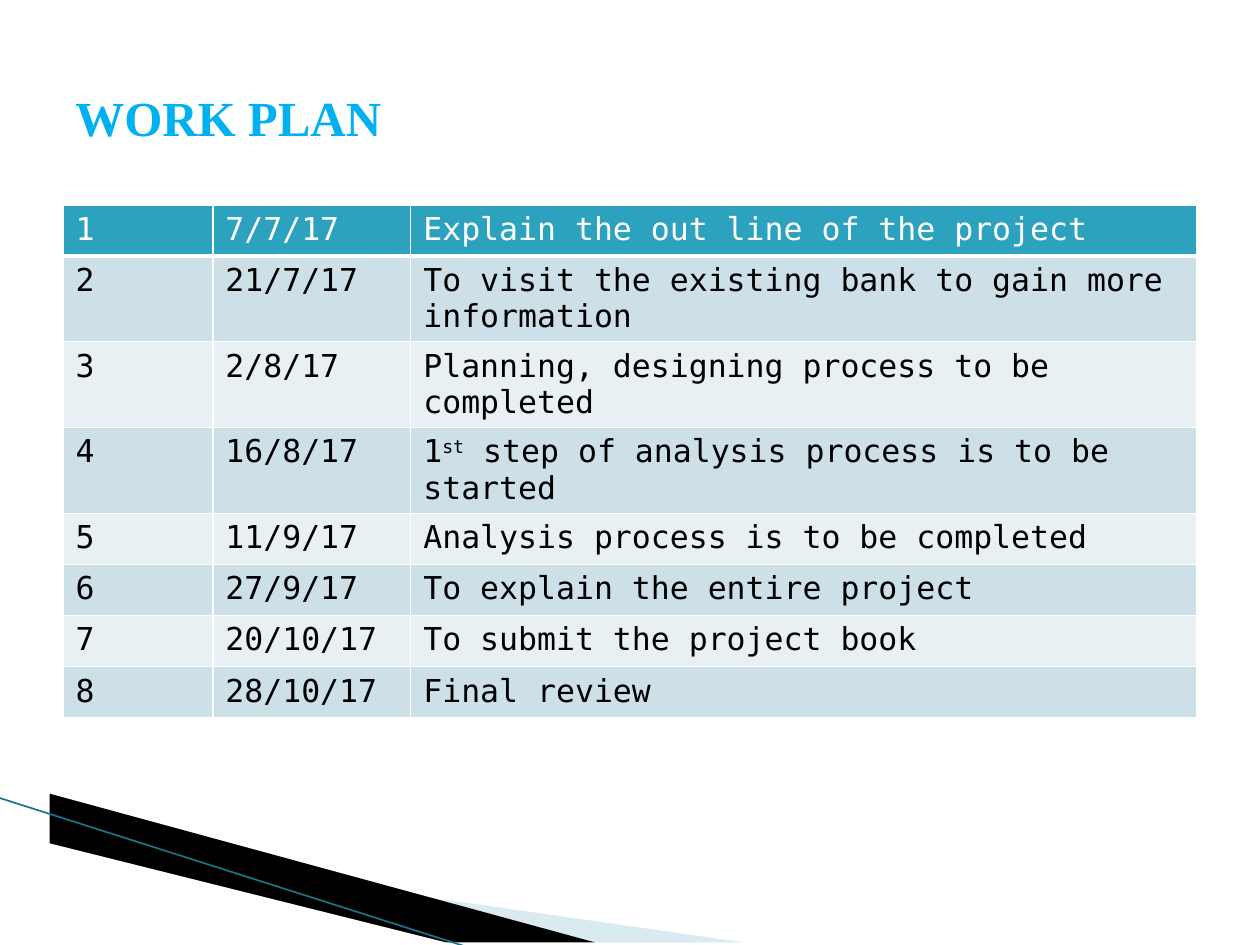
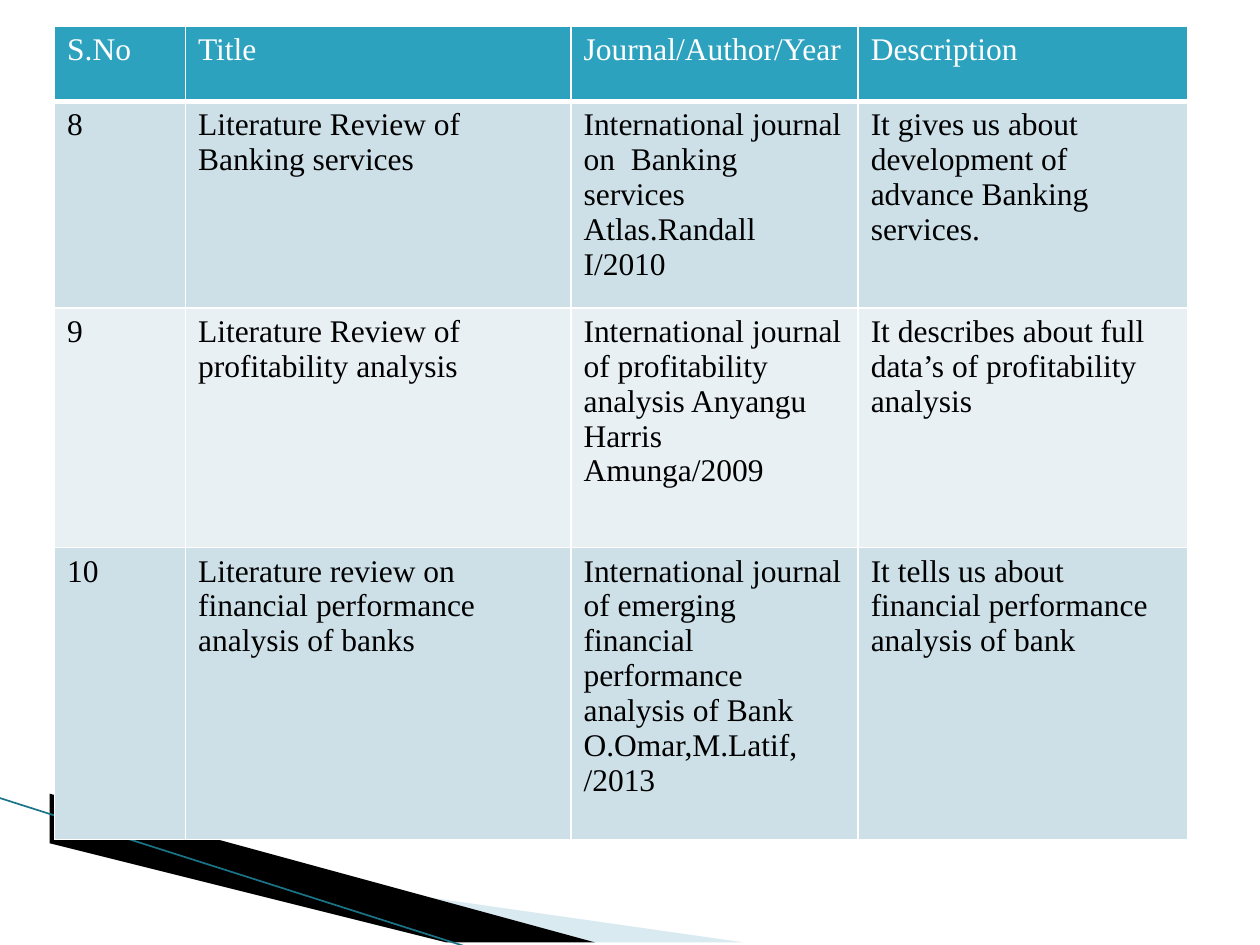
"""Build the work plan and literature review slides."""
import dataclasses
import typing

import lxml.etree
import pptx
import pptx.dml.color
import pptx.enum.shapes
import pptx.enum.text
import pptx.oxml.ns
import pptx.slide
import pptx.util

Cm = pptx.util.Cm
Pt = pptx.util.Pt
qn = pptx.oxml.ns.qn
Rgb = pptx.dml.color.RGBColor.from_string


@dataclasses.dataclass(frozen=True)
class Theme:
    title: str = "00B0F0"
    head: str = "2DA2BF"
    bands: tuple[str, str] = ("CDE0E8", "E8F0F4")
    light: str = "FFFFFF"
    dark: str = "000000"
    pale: str = "A0CBDC"
    edge: str = "1A7488"
    serif: str = "Times New Roman"
    mono: str = "DejaVu Sans Mono"
    big: float = 28
    body: float = 18
    thin: float = 1
    thick: float = 3


@dataclasses.dataclass(frozen=True)
class Wedge:
    points: tuple[tuple[float, float], ...]
    fill: str
    alpha: int = 100


@dataclasses.dataclass(frozen=True)
class Grid:
    left: float
    top: float
    cols: tuple[float, ...]
    rows: tuple[float, ...]
    font: str
    cells: tuple[tuple[str, ...], ...]


THEME = Theme()
RAISE = "^"

WEDGES = (
    Wedge(((1.4, 16.54), (15.11, 19.08), (11.58, 19.08), (1.4, 16.51)), THEME.pale, 40),
    Wedge(((1.35, 16.48), (11.61, 19.08), (9.45, 19.1), (1.37, 16.51)), THEME.dark),
)

PLAN = Grid(1.27, 4.13, (3.02, 3.99, 15.85), (1.03,) * 8, THEME.mono, (
    ("1", "7/7/17", "Explain the out line of the project"),
    ("2", "21/7/17", "To visit the existing bank to gain more information"),
    ("3", "2/8/17", "Planning, designing process to be completed"),
    ("4", "16/8/17", "1^st^ step of analysis process is to be started"),
    ("5", "11/9/17", "Analysis process is to be completed"),
    ("6", "27/9/17", "To explain the entire project"),
    ("7", "20/10/17", "To submit the project book"),
    ("8", "28/10/17", "Final review"),
))

REVIEW = Grid(1.1, 0.52, (2.64, 7.77, 5.79, 6.65), (1.52, 4.17, 4.83, 5.88), THEME.serif, (
    ("S.No", "Title", "Journal/Author/Year", "Description"),
    ("8", "Literature Review of Banking services",
     "International journal on  Banking services Atlas.Randall I/2010",
     "It gives us about development of advance Banking services."),
    ("9", "Literature Review of profitability analysis",
     "International journal of profitability analysis Anyangu Harris Amunga/2009",
     "It describes about full data’s of profitability analysis"),
    ("10", "Literature review on financial performance analysis of banks",
     "International journal of emerging financial performance analysis of Bank "
     "O.Omar,M.Latif, /2013",
     "It tells us about financial performance analysis of bank"),
))


def apply(target: typing.Any, values: dict[str, typing.Any]) -> None:
    for name, value in values.items():
        setattr(target, name, value)


def write(frame: typing.Any, text: str, font: str, size: float, tint: str,
          bold: bool = False) -> None:
    for spot, part in enumerate(text.split(RAISE)):
        run = frame.paragraphs[0].add_run()
        run.text = part
        apply(run.font, {"name": font, "size": Pt(size), "bold": bold})
        run.font.color.rgb = Rgb(tint)
        if spot % 2:
            run._r.get_or_add_rPr().set("baseline", "30000")


def border(cell: typing.Any, widths: dict[str, float]) -> None:
    props = cell._tc.get_or_add_tcPr()
    for side, width in widths.items():
        line = lxml.etree.SubElement(props, qn(f"a:ln{side}"), w=str(Pt(width)))
        fill = lxml.etree.SubElement(line, qn("a:solidFill"))
        lxml.etree.SubElement(fill, qn("a:srgbClr"), val=THEME.light)


def draw_wedge(slide: pptx.slide.Slide, wedge: Wedge) -> None:
    start, *rest = wedge.points
    pen = slide.shapes.build_freeform(*start, scale=Cm(1))
    pen.add_line_segments(rest, close=True)
    shape = pen.convert_to_shape()
    shape.shadow.inherit = False
    shape.fill.solid()
    shape.fill.fore_color.rgb = Rgb(wedge.fill)
    shape.line.fill.background()
    if wedge.alpha < 100:
        tint = shape._element.spPr.find(f"{qn('a:solidFill')}/{qn('a:srgbClr')}")
        lxml.etree.SubElement(tint, qn("a:alpha"), val=str(wedge.alpha * 1000))


def draw_base(slide: pptx.slide.Slide) -> None:
    for wedge in WEDGES:
        draw_wedge(slide, wedge)
    edge = slide.shapes.add_connector(
        pptx.enum.shapes.MSO_CONNECTOR.STRAIGHT, Cm(-0.03), Cm(16.08), Cm(9.45), Cm(19.1))
    edge.line.color.rgb = Rgb(THEME.edge)
    edge.line.width = Pt(0.95)
    lxml.etree.SubElement(edge._element.spPr, qn("a:effectLst"))


def draw_title(slide: pptx.slide.Slide, text: str) -> None:
    box = slide.shapes.add_textbox(Cm(1.27), Cm(0.76), Cm(22.86), Cm(3.18))
    apply(box.text_frame, {"word_wrap": True,
                           "vertical_anchor": pptx.enum.text.MSO_ANCHOR.MIDDLE})
    write(box.text_frame, text, THEME.serif, THEME.big, THEME.title, True)


def draw_grid(slide: pptx.slide.Slide, grid: Grid) -> None:
    table = slide.shapes.add_table(
        len(grid.rows), len(grid.cols), Cm(grid.left), Cm(grid.top),
        Cm(sum(grid.cols)), Cm(sum(grid.rows))).table
    apply(table, {"first_row": False, "horz_banding": False})
    for col, width in zip(table.columns, grid.cols):
        col.width = Cm(width)
    for row, height in zip(table.rows, grid.rows):
        row.height = Cm(height)
    for y, texts in enumerate(grid.cells):
        head = y == 0
        fill = THEME.head if head else THEME.bands[(y - 1) % 2]
        tint = THEME.light if head else THEME.dark
        base = THEME.thick if head else THEME.thin
        for x, text in enumerate(texts):
            cell = table.cell(y, x)
            border(cell, {**dict.fromkeys("LRT", THEME.thin), "B": base})
            cell.fill.solid()
            cell.fill.fore_color.rgb = Rgb(fill)
            write(cell.text_frame, text, grid.font, THEME.body, tint)


def main() -> None:
    deck = pptx.Presentation()
    apply(deck, {"slide_width": Cm(25.4), "slide_height": Cm(19.05)})
    for grid, title in ((PLAN, "WORK PLAN"), (REVIEW, "")):
        slide = deck.slides.add_slide(deck.slide_layouts[6])
        draw_base(slide)
        draw_grid(slide, grid)
        if title:
            draw_title(slide, title)
    deck.save("out.pptx")


main()
